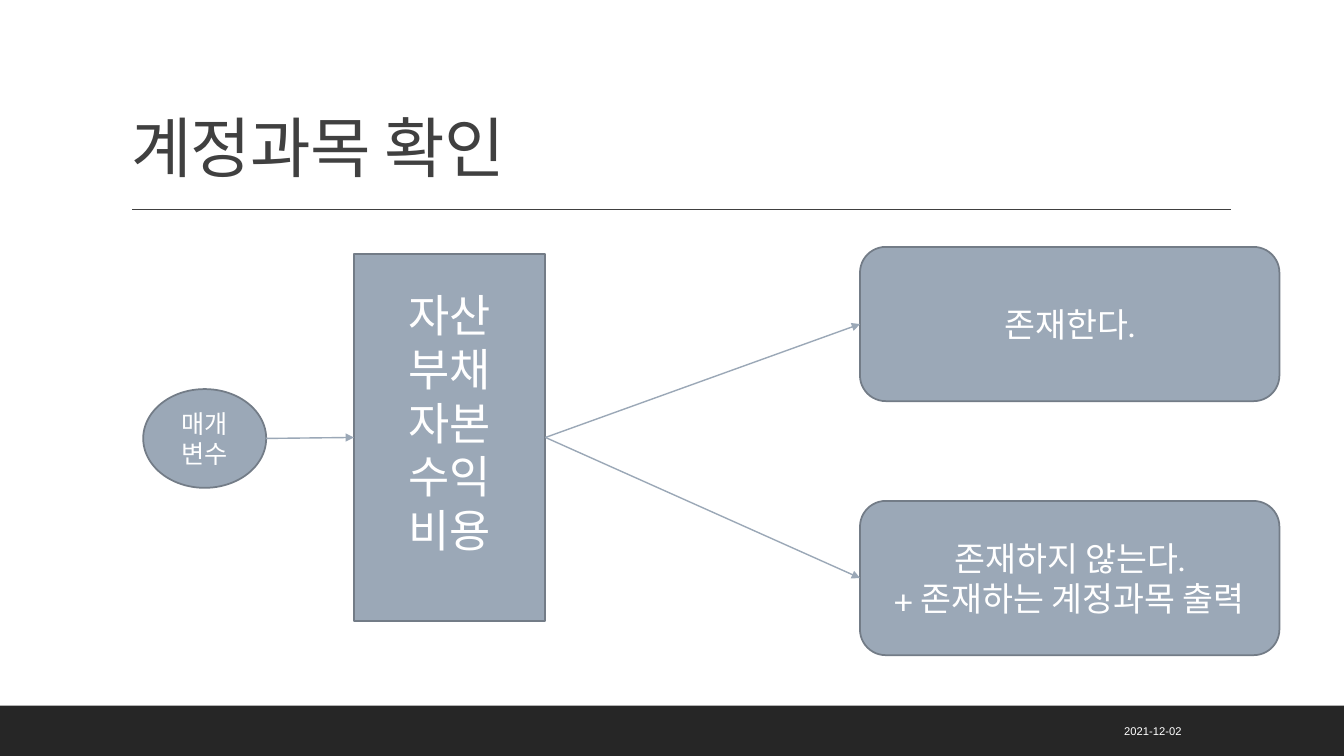
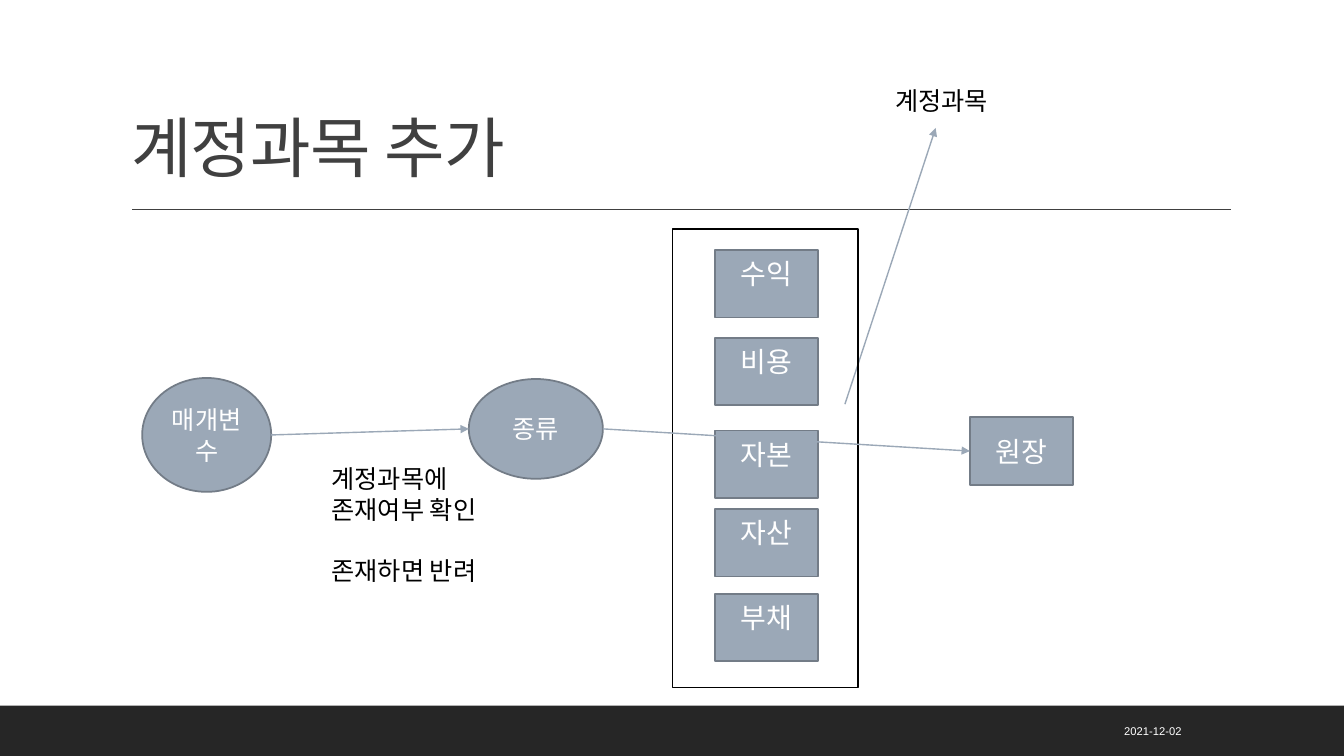
from lxml import etree
from pptx import Presentation
from pptx.dml.color import RGBColor
from pptx.enum.shapes import MSO_CONNECTOR, MSO_SHAPE
from pptx.enum.text import MSO_ANCHOR, MSO_AUTO_SIZE, PP_ALIGN
from pptx.oxml.ns import qn
from pptx.util import Inches, Pt

RECT, ROUND, OVAL = MSO_SHAPE.RECTANGLE, MSO_SHAPE.ROUNDED_RECTANGLE, MSO_SHAPE.OVAL
STRAIGHT = MSO_CONNECTOR.STRAIGHT
TOP, MIDDLE, BOTTOM = MSO_ANCHOR.TOP, MSO_ANCHOR.MIDDLE, MSO_ANCHOR.BOTTOM
LEFT, CENTER, RIGHT = PP_ALIGN.LEFT, PP_ALIGN.CENTER, PP_ALIGN.RIGHT
NO_FIT, GROW = MSO_AUTO_SIZE.NONE, MSO_AUTO_SIZE.SHAPE_TO_FIT_TEXT

WHITE = RGBColor(0xFF, 0xFF, 0xFF)
BLACK = RGBColor(0x00, 0x00, 0x00)
BAND = RGBColor(0x26, 0x26, 0x26)
DARK = RGBColor(0x40, 0x40, 0x40)
ACCENT = RGBColor(0x9B, 0xA8, 0xB7)
EDGE = RGBColor(0x73, 0x7C, 0x87)
HEAD_FONT, BODY_FONT = "Arial", "Karla"
TITLE_ONLY = 5


def write(tf, text, size=18, color=WHITE, font=BODY_FONT, align=CENTER,
          anchor=MIDDLE, fit=NO_FIT, bottom=0.05, last_gap=0, spacing=None):
    tf.word_wrap = True
    tf.auto_size = fit
    tf.vertical_anchor = anchor
    tf.margin_bottom = Inches(bottom)
    for i, line in enumerate(text.split("\n")):
        p = tf.add_paragraph() if i else tf.paragraphs[0]
        p.alignment = align
        p.line_spacing = spacing
        r = p.add_run()
        r.text = line
        r.font.size = Pt(size)
        r.font.name = font
        r.font.color.rgb = color
    if last_gap:
        p.space_before = Pt(last_gap)


def left_mid(sp):
    return sp.left.inches, (sp.top + sp.height / 2) / Inches(1)


def right_mid(sp):
    return (sp.left + sp.width) / Inches(1), (sp.top + sp.height / 2) / Inches(1)


class Deck:
    def __init__(self):
        self.prs = Presentation()
        self.prs.slide_width = Inches(13.33)
        self.prs.slide_height = Inches(7.5)
        self.s = None

    def slide(self, title):
        self.s = self.prs.slides.add_slide(self.prs.slide_layouts[TITLE_ONLY])
        self.shape(RECT, 0, 7, 13.33, 0.5, fill=BAND, edge=None)
        self.line((1.31, 2.08), (12.21, 2.08), color=DARK)
        sp = self.s.shapes.title
        sp.left, sp.top, sp.width, sp.height = map(Inches, (1.2, 0.31, 11, 1.59))
        write(sp.text_frame, title, size=47, color=DARK, font=HEAD_FONT,
              align=LEFT, anchor=BOTTOM, spacing=0.9)
        r = sp.text_frame.paragraphs[0].runs[0]
        r._r.get_or_add_rPr().set("spc", "-50")
        self.text(8.99, 7.05, 2.83, 0.4, "2021-12-02", size=8, color=WHITE,
                  font=HEAD_FONT, align=RIGHT, anchor=MIDDLE, fit=NO_FIT)

    def shape(self, kind, x, y, w, h, text="", fill=ACCENT, edge=EDGE, **fmt):
        sp = self.s.shapes.add_shape(kind, Inches(x), Inches(y), Inches(w), Inches(h))
        sp.shadow.inherit = False
        if fill is None:
            sp.fill.background()
        else:
            sp.fill.solid()
            sp.fill.fore_color.rgb = fill
        if edge is None:
            sp.line.fill.background()
        else:
            sp.line.color.rgb = edge
            sp.line.width = Pt(1.25)
        if text:
            write(sp.text_frame, text, **fmt)
        return sp

    def text(self, x, y, w, h, text, color=BLACK, align=LEFT, anchor=TOP,
             fit=GROW, **fmt):
        sp = self.s.shapes.add_textbox(Inches(x), Inches(y), Inches(w), Inches(h))
        write(sp.text_frame, text, color=color, align=align, anchor=anchor,
              fit=fit, **fmt)

    def line(self, start, end, color=ACCENT):
        sp = self.s.shapes.add_connector(STRAIGHT, *map(Inches, start + end))
        sp.line.color.rgb = color
        sp.line.width = Pt(1)
        etree.SubElement(sp._element.spPr, qn("a:effectLst"))
        return sp

    def arrow(self, start, end):
        ln = self.line(start, end)._element.spPr.find(qn("a:ln"))
        etree.SubElement(ln, qn("a:tailEnd"), type="triangle")


def check_slide(deck):
    deck.slide("계정과목 확인")
    param = deck.shape(OVAL, 1.42, 3.86, 1.22, 0.98, "매개변수")
    kinds = deck.shape(RECT, 3.51, 2.52, 1.9, 3.64, "자산\n부채\n자본\n수익\n비용",
                       size=32, bottom=0.35)
    deck.arrow(right_mid(param), left_mid(kinds))
    for y, text in ((2.45, "존재한다."),
                    (4.97, "존재하지 않는다.\n+ 존재하는 계정과목 출력")):
        result = deck.shape(ROUND, 8.53, y, 4.16, 1.53, text, size=24)
        deck.arrow(right_mid(kinds), left_mid(result))


def add_slide(deck):
    deck.slide("계정과목 추가")
    param = deck.shape(OVAL, 1.41, 3.75, 1.28, 1.13, "매개변수")
    kind = deck.shape(OVAL, 4.65, 3.76, 1.33, 0.99, "종류")
    deck.arrow(right_mid(param), left_mid(kind))
    deck.arrow((8.38, 4.01), (9.28, 1.27))
    for y, text in ((2.48, "수익"), (3.35, "비용"), (4.27, "자본"),
                    (5.05, "자산"), (5.89, "부채")):
        deck.shape(RECT, 7.09, y, 1.02, 0.67, text, size=20, bottom=0.25)
    deck.shape(RECT, 6.67, 2.27, 1.84, 4.55, fill=None, edge=BLACK)
    deck.text(8.78, 0.8, 1.51, 0.4, "계정과목")
    ledger = deck.shape(RECT, 9.62, 4.14, 1.02, 0.67, "원장", size=20)
    deck.text(3.19, 4.55, 2.52, 1.62, "계정과목에\n존재여부 확인\n존재하면 반려",
              last_gap=22)
    deck.arrow(right_mid(kind), left_mid(ledger))


def main():
    deck = Deck()
    check_slide(deck)
    add_slide(deck)
    deck.prs.save("out.pptx")


if __name__ == "__main__":
    main()
